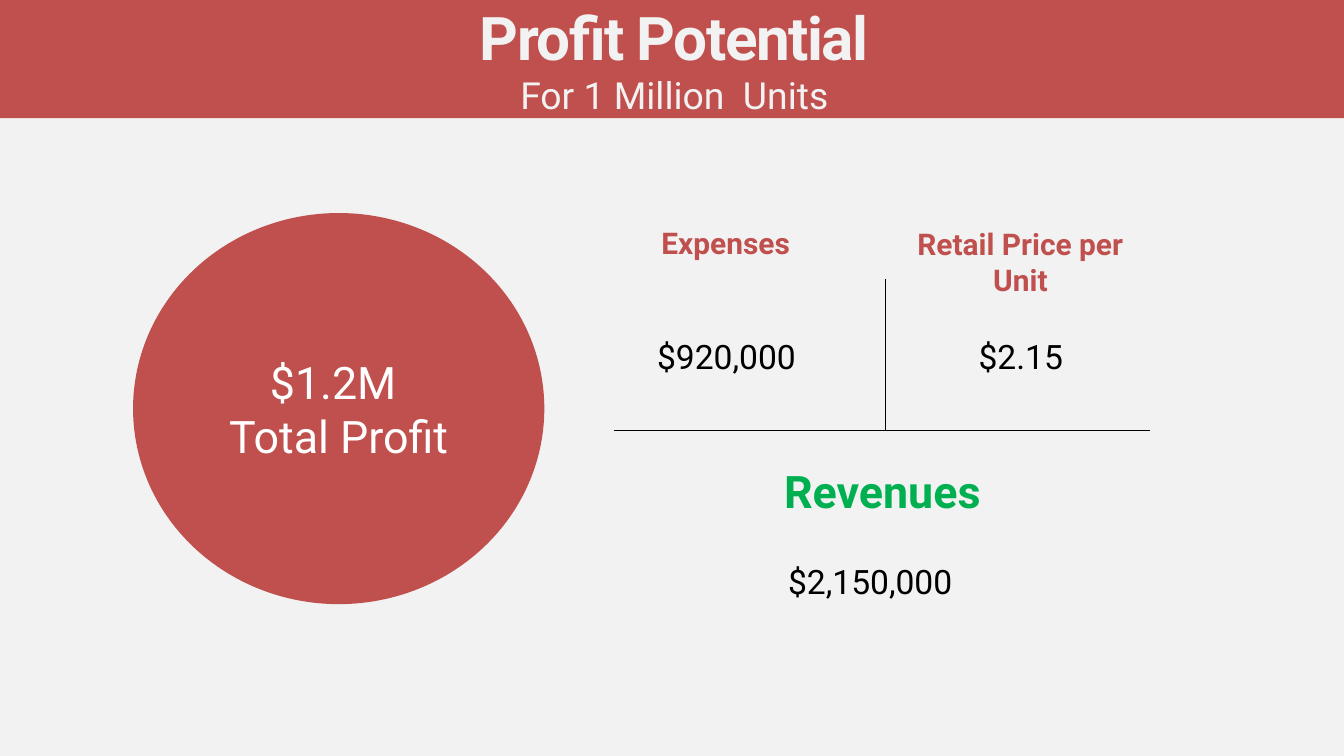
from dataclasses import dataclass

from pptx import Presentation
from pptx.dml.color import RGBColor
from pptx.enum import shapes, text
from pptx.oxml import ns
from pptx.util import Inches, Pt
from lxml import etree


@dataclass(frozen=True)
class Theme:
    font: str = "Roboto"
    red: RGBColor = RGBColor(0xC0, 0x50, 0x4D)
    green: RGBColor = RGBColor(0x00, 0xB0, 0x50)
    pale: RGBColor = RGBColor(0xF2, 0xF2, 0xF2)
    white: RGBColor = RGBColor(0xFF, 0xFF, 0xFF)
    black: RGBColor = RGBColor(0, 0, 0)
    title: float = 64.5
    subtitle: float = 40
    heading: float = 32
    amount: float = 36
    large: float = 48


theme = Theme()


def write(frame, lines):
    """Fill a text frame with centred (wording, size, colour, bold) lines."""
    frame.word_wrap = True
    for index, (wording, size, color, bold) in enumerate(lines):
        paragraph = frame.paragraphs[0] if index == 0 else frame.add_paragraph()
        paragraph.text = wording
        paragraph.alignment = text.PP_ALIGN.CENTER
        font = paragraph.font
        font.name, font.size, font.bold = theme.font, Pt(size), bold
        font.color.rgb = color


def add_red_shape(kind, left, top, width, height):
    shape = slide.shapes.add_shape(
        kind, Inches(left), Inches(top), Inches(width), Inches(height))
    shape.shadow.inherit = False
    shape.fill.solid()
    shape.fill.fore_color.rgb = theme.red
    shape.line.fill.background()
    return shape


presentation = Presentation()
presentation.slide_width = Inches(20)
presentation.slide_height = Inches(11.25)
slide = presentation.slides.add_slide(presentation.slide_layouts[6])
slide.background.fill.solid()
slide.background.fill.fore_color.rgb = theme.pale

# Header band
add_red_shape(shapes.MSO_SHAPE.RECTANGLE, 0, 0, 20.08, 1.76)
header = slide.shapes.add_textbox(Inches(0.07), 0, Inches(19.93), Inches(1.76)).text_frame
header.margin_left = header.margin_top = header.margin_right = header.margin_bottom = 0
write(header, [
    ("Profit Potential", theme.title, theme.pale, True),
    ("For 1 Million  Units", theme.subtitle, theme.pale, False),
])
title_run = header.paragraphs[0].runs[0]
title_run._r.get_or_add_rPr().set("spc", "-150")

# Dividers between expenses, price and revenues
for start_x, start_y, end_x, end_y in [
    (9.14, 6.4, 17.12, 6.4),
    (13.17, 6.4, 13.17, 4.15),
]:
    divider = slide.shapes.add_connector(
        shapes.MSO_CONNECTOR.STRAIGHT,
        Inches(start_x), Inches(start_y), Inches(end_x), Inches(end_y))
    divider.line.color.rgb = theme.black
    divider.line.width = Pt(1)
    etree.SubElement(divider._element.spPr, ns.qn("a:effectLst"))

# Headings and amounts
for left, top, width, height, *line in [
    (8.64, 3.3, 4.32, 0.64, "Expenses", theme.heading, theme.red, True),
    (8.87, 4.95, 3.88, 0.71, "$920,000", theme.amount, theme.black, False),
    (13.36, 3.31, 3.65, 1.18, "Retail Price per Unit", theme.heading, theme.red, True),
    (13.25, 4.95, 3.88, 0.71, "$2.15", theme.amount, theme.black, False),
    (10.97, 6.85, 4.32, 0.91, "Revenues", theme.large, theme.green, True),
    (11.01, 8.29, 3.88, 0.71, "$2,150,000", theme.amount, theme.black, False),
]:
    label = slide.shapes.add_textbox(
        Inches(left), Inches(top), Inches(width), Inches(height))
    write(label.text_frame, [line])

# Total profit
profit = add_red_shape(shapes.MSO_SHAPE.OVAL, 1.98, 3.17, 6.12, 5.82)
profit.text_frame.vertical_anchor = text.MSO_ANCHOR.MIDDLE
write(profit.text_frame, [
    ("$1.2M ", theme.large, theme.white, False),
    ("Total Profit", theme.large, theme.white, False),
])

presentation.save("out.pptx")
